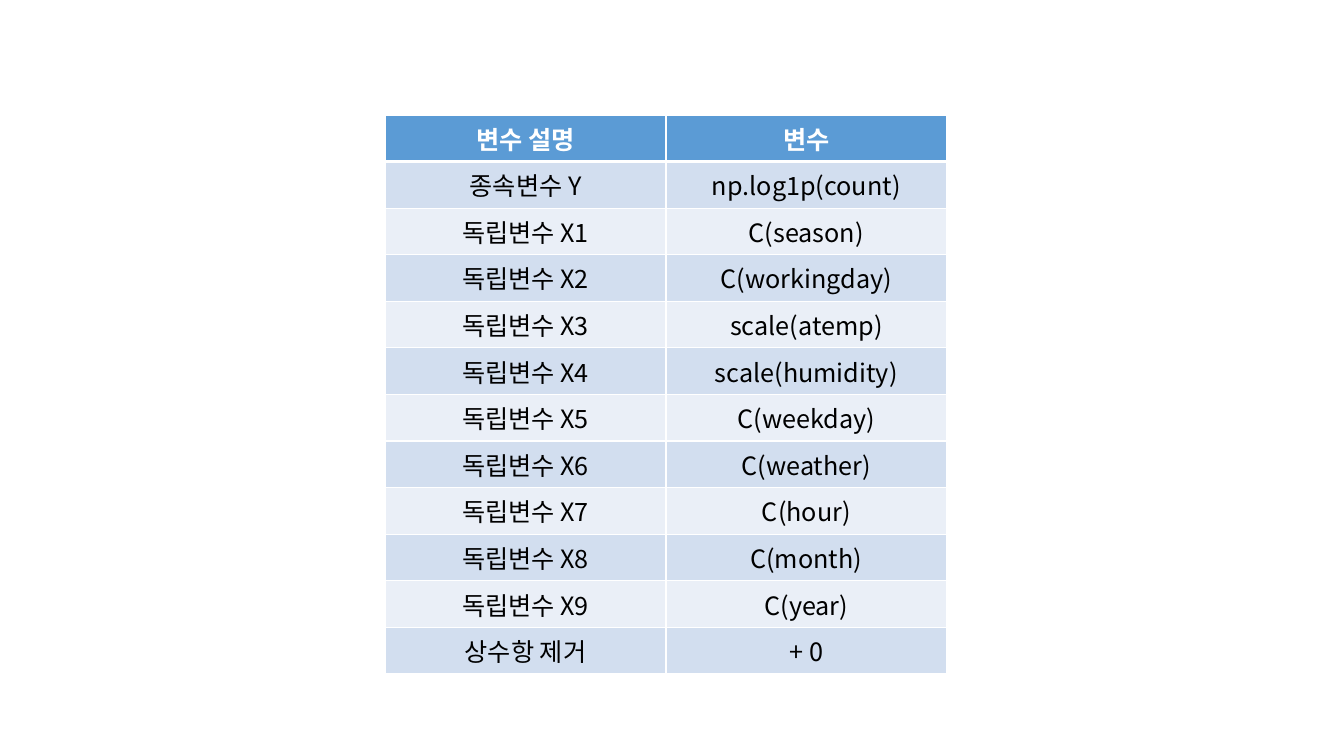
from lxml.etree import SubElement
from pptx import Presentation
from pptx.dml.color import RGBColor
from pptx.enum.text import MSO_ANCHOR, PP_ALIGN
from pptx.oxml.ns import qn
from pptx.util import Inches, Pt

FONT = "Noto Sans CJK KR"
HEAD, BANDS = "5B9BD5", ("D2DEEF", "EAEFF7")
TERMS = ["C(season)", "C(workingday)", "scale(atemp)", "scale(humidity)",
         "C(weekday)", "C(weather)", "C(hour)", "C(month)", "C(year)"]
ROWS = [("변수 설명", "변수"), ("종속변수 Y", "np.log1p(count)"),
        *[(f"독립변수 X{n}", term) for n, term in enumerate(TERMS, 1)],
        ("상수항 제거", "+ 0")]


def color(code):
    """Turn a hex string into a colour."""
    return RGBColor.from_string(code)


def write(cell, text, size=18, ink="000000", bold=False):
    """Put centred, formatted text in a cell."""
    cell.vertical_anchor = MSO_ANCHOR.TOP
    para = cell.text_frame.paragraphs[0]
    para.alignment = PP_ALIGN.CENTER
    run = para.add_run()
    run.text = text
    font = run.font
    font.name, font.size, font.bold = FONT, Pt(size), bold
    font.color.rgb = color(ink)
    SubElement(font._element, qn("a:ea"), typeface=FONT)


def border(cell, **widths):
    """Draw white cell borders, given widths in points by side."""
    props = cell._tc.get_or_add_tcPr()
    for spot, side in enumerate("LRTB"):
        line = SubElement(props, qn(f"a:ln{side}"), w=str(Pt(widths.get(side, 1))))
        fill = SubElement(line, qn("a:solidFill"))
        SubElement(fill, qn("a:srgbClr"), val="FFFFFF")
        props.insert(spot, line)


def grid(slide, left, top, width, height):
    """Place the table of model variables in the given box."""
    frame = slide.shapes.add_table(len(ROWS), 2, Inches(left), Inches(top),
                                   Inches(width), Inches(height))
    table = frame.table
    for r, row in enumerate(ROWS):
        for c, text in enumerate(row):
            cell = table.cell(r, c)
            cell.fill.solid()
            cell.fill.fore_color.rgb = color(BANDS[(r - 1) % 2] if r else HEAD)
            border(cell, T=3 if r == 1 else 1, B=1 if r else 3)
            write(cell, text, ink="000000" if r else "FFFFFF", bold=r == 0)


def main():
    """Build the slide and save it."""
    deck = Presentation()
    deck.slide_width, deck.slide_height = Inches(13.33), Inches(7.5)
    slide = deck.slides.add_slide(deck.slide_layouts[6])
    grid(slide, 3.82, 1.14, 5.57, 4.87)
    deck.save("out.pptx")


if __name__ == "__main__":
    main()
